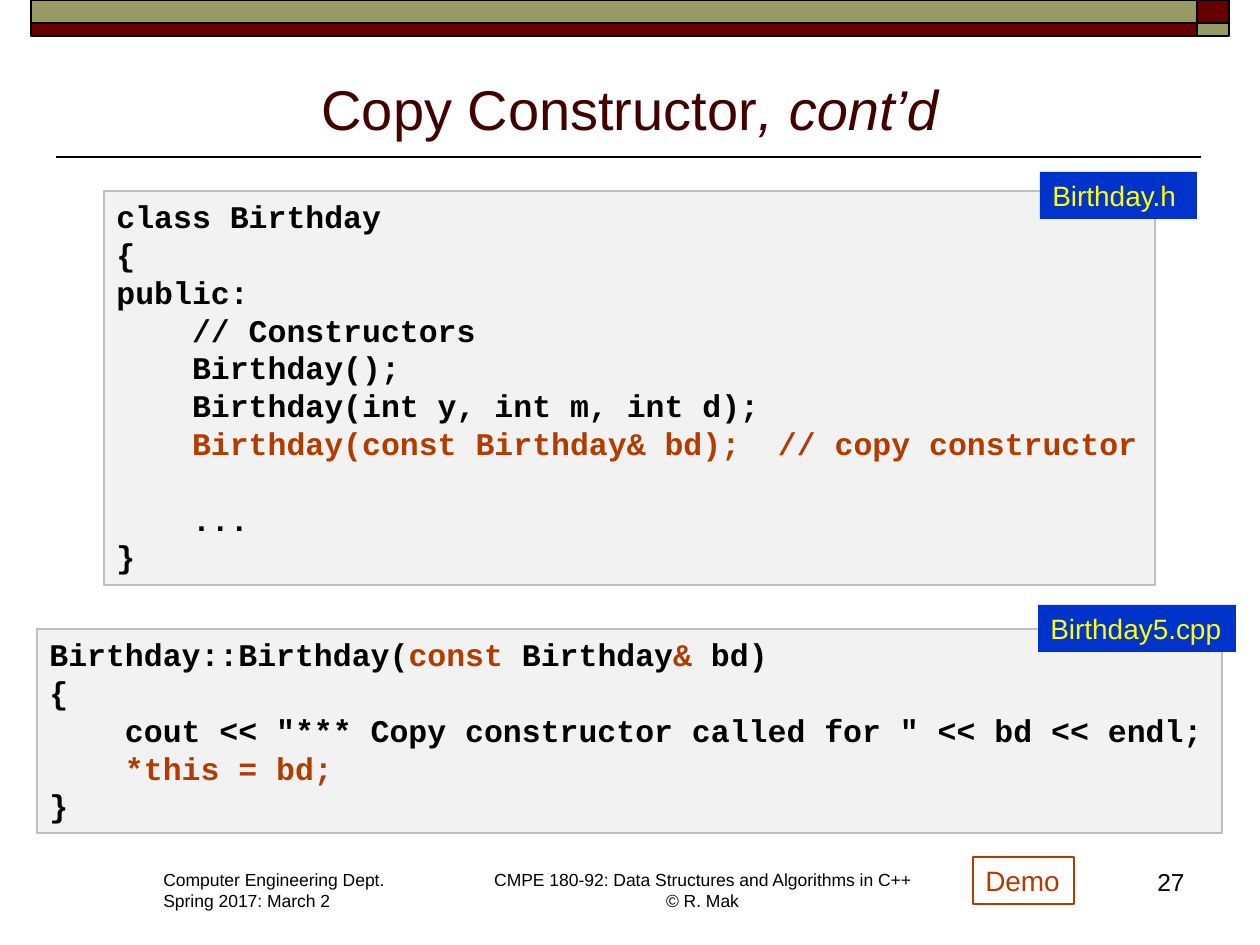
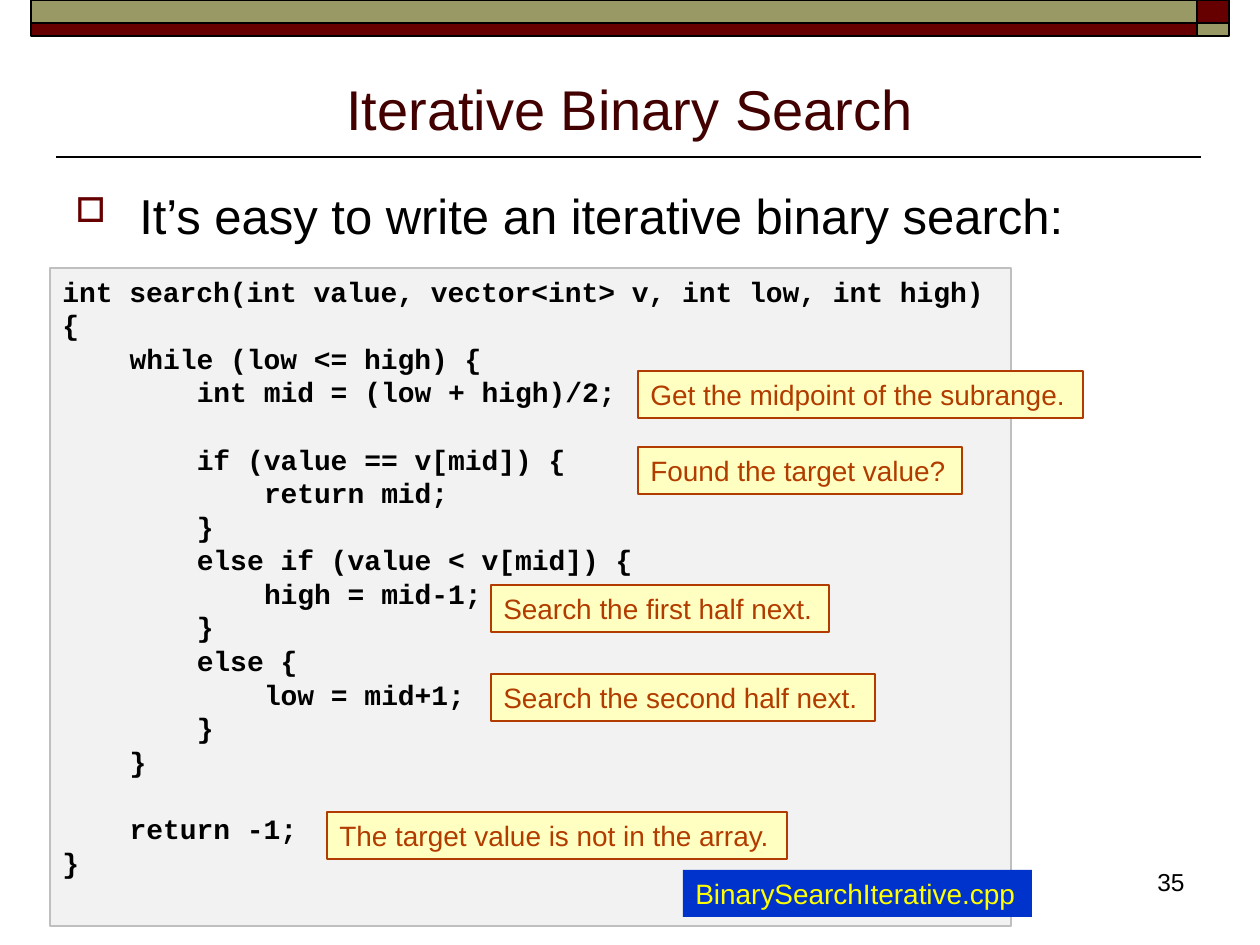
import pptx
import pptx.util
import pptx.dml.color
import pptx.enum.shapes
import pptx.enum.text
import pptx.oxml.ns
import lxml.etree

UNIT = 914400 / 126
LEAD = 1.2
COLORS = {
    "black": "000000", "wine": "660000", "olive": "999966",
    "title": "420000", "code": "F2F2F2", "edge": "BFBFBF",
    "rust": "B23C00", "cream": "FFFFC2", "blue": "0033CC",
    "yellow": "FFFF00",
}
ALIGN = pptx.enum.text.PP_ALIGN
ANCHOR = pptx.enum.text.MSO_ANCHOR


def px(value):
    return pptx.util.Emu(round(value * UNIT))


def color(name):
    return pptx.dml.color.RGBColor.from_string(COLORS[name])


def child(parent, tag, **attrs):
    return lxml.etree.SubElement(parent, pptx.oxml.ns.qn(tag), **attrs)


class Deck:
    def __init__(self):
        self.file = pptx.Presentation()
        self.file.slide_width = px(1260)
        self.file.slide_height = px(945)
        self.slide = None

    def start(self, title, number):
        self.slide = self.file.slides.add_slide(self.file.slide_layouts[6])
        self.rule(1201, 56, 157)
        for left, width, top, low in (
            (1197, 32, "wine", "olive"), (31, 1166, "olive", "wine"),
        ):
            self.box((left, 0, width, 23), top, "black", 1)
            self.box((left, 23, width, 13), low, "black", 1)
        self.text((63, 57, 1134, 91), [title], 32, "title",
                  ALIGN.CENTER, ANCHOR.BOTTOM)
        self.text((935, 861, 262, 63), [number], 14, align=ALIGN.RIGHT)

    def rule(self, start, end, y):
        line = self.slide.shapes.add_connector(
            pptx.enum.shapes.MSO_CONNECTOR.STRAIGHT,
            px(start), px(y), px(end), px(y))
        line.line.color.rgb = color("black")
        line.line.width = pptx.util.Pt(1)
        child(line._element.spPr, "a:effectLst")

    def box(self, area, fill=None, edge=None, width=0.75):
        shape = self.slide.shapes.add_shape(
            pptx.enum.shapes.MSO_SHAPE.RECTANGLE, *map(px, area))
        shape.shadow.inherit = False
        if fill:
            shape.fill.solid()
            shape.fill.fore_color.rgb = color(fill)
        else:
            shape.fill.background()
        if edge:
            shape.line.color.rgb = color(edge)
            shape.line.width = pptx.util.Pt(width)
        else:
            shape.line.fill.background()
        return shape

    def fit(self, frame):
        frame.word_wrap = False
        frame.auto_size = pptx.enum.text.MSO_AUTO_SIZE.SHAPE_TO_FIT_TEXT

    def put(self, frame, lines, size, ink="black", align=ALIGN.LEFT,
            face="Arial"):
        for index, line in enumerate(lines):
            para = frame.paragraphs[0] if index == 0 else frame.add_paragraph()
            para.text = line
            para.alignment = align
            para.font.name = face
            para.font.size = pptx.util.Pt(size)
            para.font.color.rgb = color(ink)
        return frame.paragraphs

    def text(self, area, lines, size, ink="black", align=ALIGN.LEFT,
             anchor=ANCHOR.TOP):
        frame = self.slide.shapes.add_textbox(*map(px, area)).text_frame
        frame.word_wrap = True
        frame.vertical_anchor = anchor
        return self.put(frame, lines, size, ink, align)

    def foot(self, area, lines, align=ALIGN.LEFT):
        self.text(area, lines, 10, align=align)
        self.fit(self.slide.shapes[-1].text_frame)

    def label(self, area, words, ink, fill=None, edge=None):
        frame = self.box(area, fill, edge).text_frame
        self.fit(frame)
        self.put(frame, [words], 16, ink)

    def tag(self, area, name):
        self.label(area, name, "yellow", "blue")

    def note(self, left, top, width, words):
        self.label((left, top, width, 47), words, "rust", "cream", "rust")

    def bullet(self, area, words):
        para = self.text(area, [words], 28)[0]
        para.space_before = pptx.util.Pt(5.6)
        props = para._p.get_or_add_pPr()
        props.set("marL", str(px(64)))
        props.set("indent", str(-px(64)))
        marks = [props.makeelement(pptx.oxml.ns.qn(tag), attrs)
                 for tag, attrs in (("a:buClr", {}),
                                    ("a:buSzPct", {"val": "70000"}),
                                    ("a:buChar", {"char": "□"}))]
        child(marks[0], "a:srgbClr", val=COLORS["wine"])
        base = props.find(pptx.oxml.ns.qn("a:defRPr"))
        for mark in marks:
            base.addprevious(mark)

    def code(self, area, source, size):
        frame = self.box(area, "code", "edge").text_frame
        frame.vertical_anchor = ANCHOR.TOP
        self.fit(frame)
        rows, gaps, gap = [], [], 0
        for row in source.strip().splitlines():
            if row:
                rows.append(row)
                gaps.append(gap)
                gap = 0
            else:
                gap += 1
        paras = self.put(frame, [""] * len(rows), size, face="Courier New")
        for para, row, gap in zip(paras, rows, gaps):
            words = row.lstrip(" ")
            depth = len(row) - len(words)
            props = para._p.get_or_add_pPr()
            props.set("marL", str(pptx.util.Pt(depth * size * 0.6)))
            props.set("indent", "0")
            para.space_before = pptx.util.Pt(gap * size * LEAD)
            para.font.bold = True
            for index, part in enumerate(words.split("|")):
                if part:
                    run = para.add_run()
                    run.text = part
                    if index % 2:
                        run.font.color.rgb = color("rust")


HEADER = """
class Birthday
{
public:
    // Constructors
    Birthday();
    Birthday(int y, int m, int d);
    |Birthday(const Birthday& bd);\u00a0 // copy constructor|

    ...
}
"""
COPY = """
Birthday::Birthday(|const| Birthday|& |bd)
{
    cout << "*** Copy constructor called for " << bd << endl;
    |*this = bd;|
}
"""
SEARCH = """
int search(int value, vector<int> v, int low, int high)
{
    while (low <= high) {
        int mid = (low + high)/2;

        if (value == v[mid]) {
            return mid;
        }
        else if (value < v[mid]) {
            high = mid-1;
        }
        else {
            low = mid+1;
        }
    }

    return -1;
}
"""

deck = Deck()

deck.start("Copy Constructor", "27")
title = deck.slide.shapes[-2].text_frame.paragraphs[0]
tail = title.add_run()
tail.text = ", cont’d"
tail.font.italic = True
deck.foot((151, 863, 249, 55),
          ["Computer Engineering Dept.", "Spring 2017: March 2"])
deck.foot((479, 863, 447, 55),
          ["CMPE 180-92: Data Structures and Algorithms in C++\v© R. Mak"],
          ALIGN.CENTER)
deck.code((104, 191, 1051, 394), HEADER, 18)
deck.code((37, 629, 1185, 204), COPY, 18)
deck.tag((1040, 172, 157, 47), "Birthday.h")
deck.tag((1038, 605, 198, 47), "Birthday5.cpp")
deck.label((973, 857, 101, 47), "Demo", "rust", edge="rust")

deck.start("Iterative Binary Search", "35")
deck.bullet((63, 179, 1134, 79),
            "It’s easy to write an iterative binary search:")
deck.code((50, 268, 961, 658), SEARCH, 16)
for left, top, width, words in (
    (638, 371, 445, "Get the midpoint of the subrange."),
    (638, 447, 324, "Found the target value?"),
    (491, 585, 338, "Search the first half next."),
    (491, 674, 384, "Search the second half next."),
    (327, 812, 460, "The target value is not in the array."),
):
    deck.note(left, top, width, words)
deck.tag((683, 870, 349, 47), "BinarySearchIterative.cpp")

deck.file.save("out.pptx")
